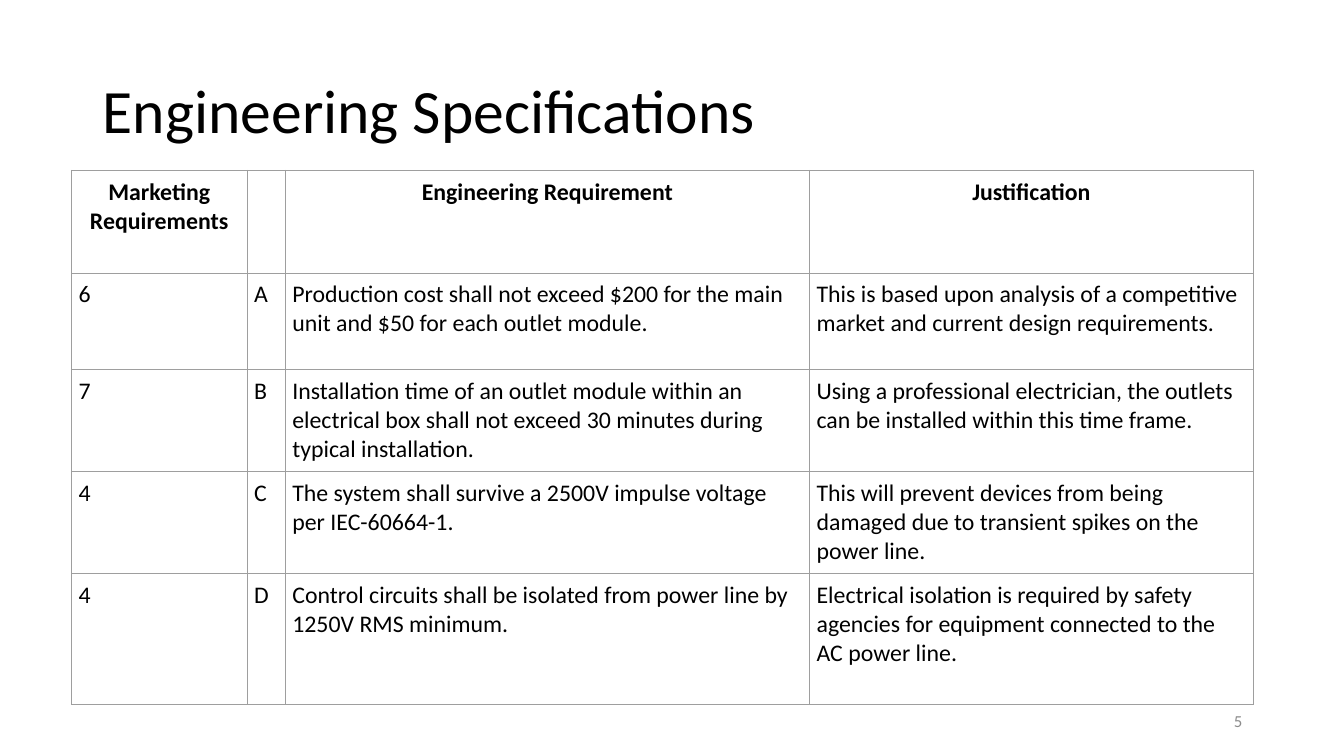
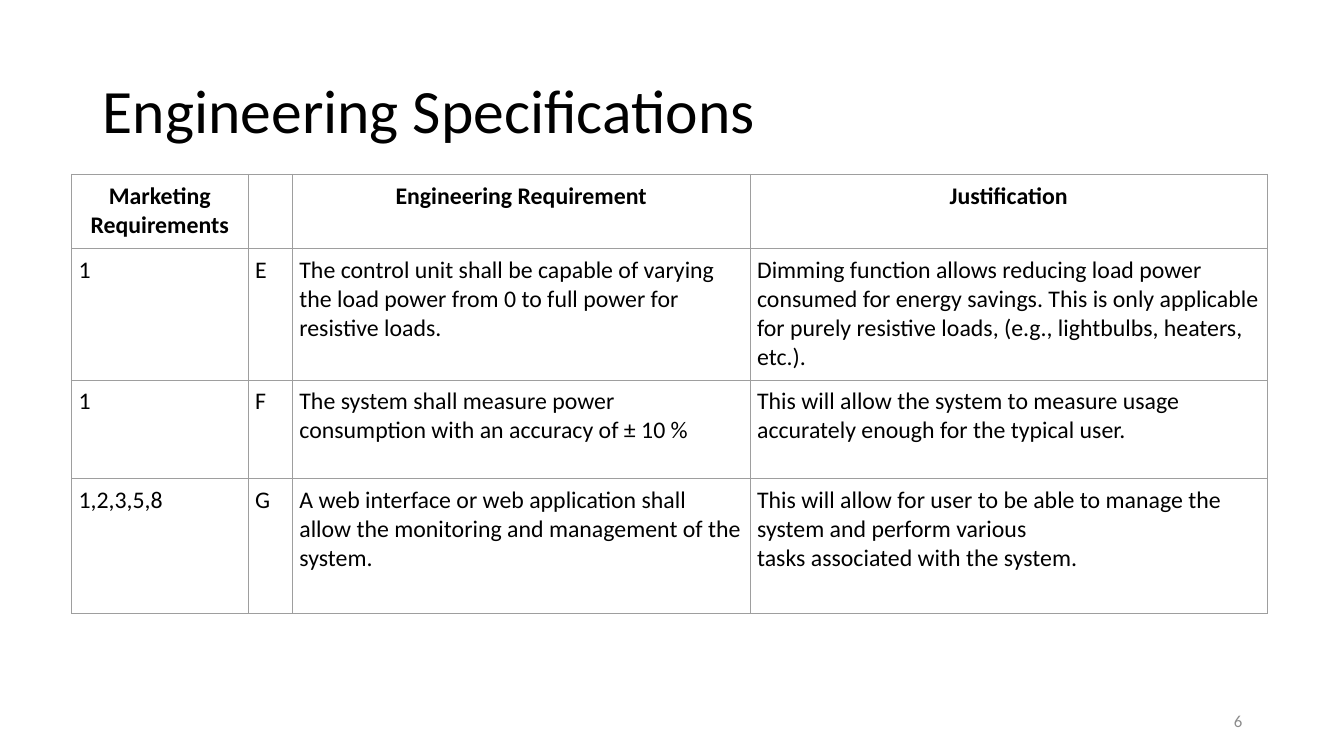
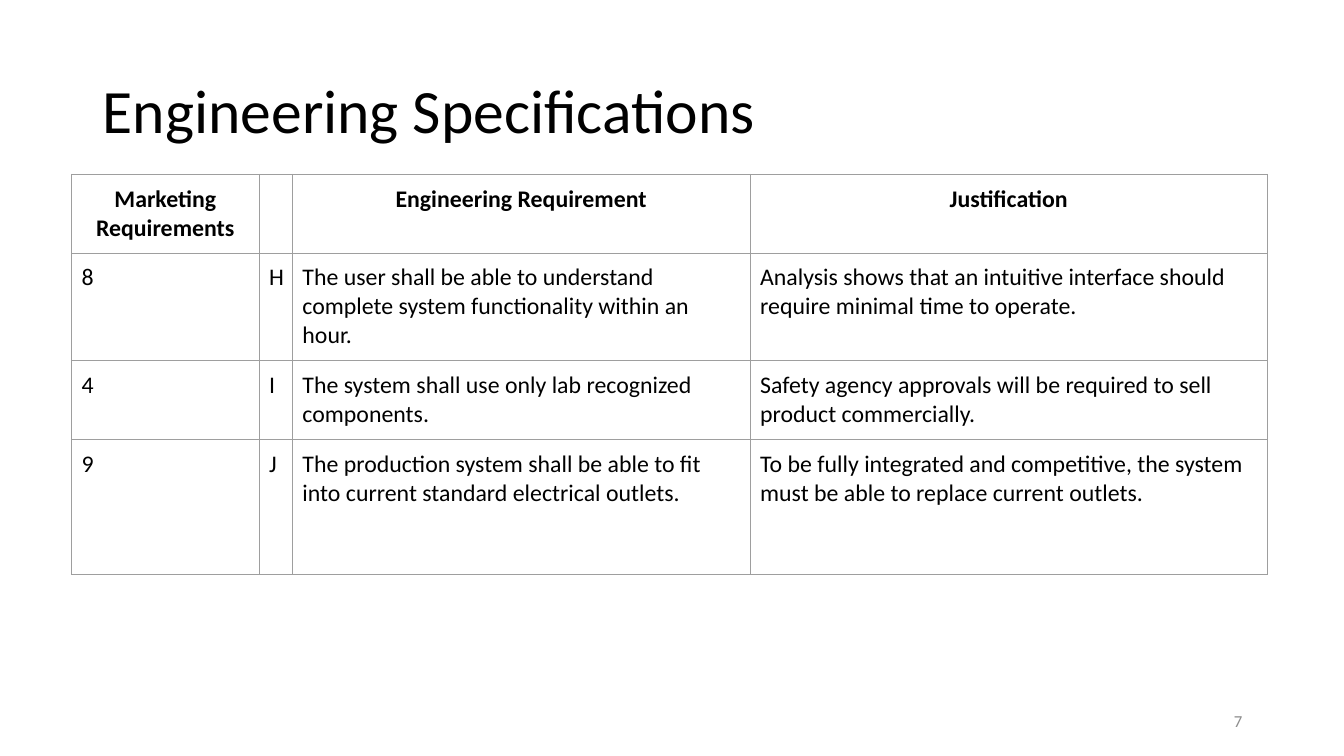
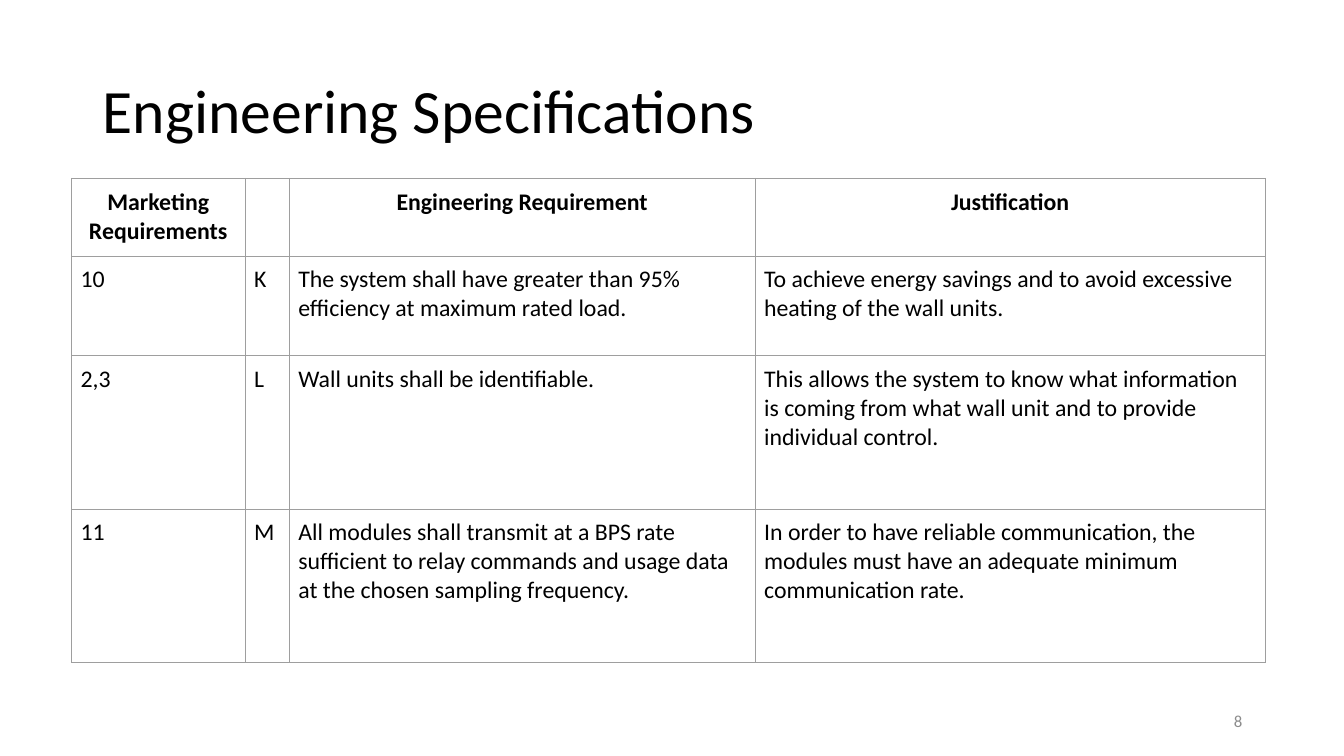
from dataclasses import dataclass

import lxml.etree
import pptx
import pptx.dml.color
import pptx.enum.text
import pptx.oxml.ns
import pptx.util

EMU_PER_PX = 9144  # 100 px to the inch
ALIGN = pptx.enum.text.PP_ALIGN
MIDDLE = pptx.enum.text.MSO_ANCHOR.MIDDLE


def px(length):
    return pptx.util.Emu(length * EMU_PER_PX)


@dataclass(frozen=True)
class Theme:
    font: str = "Calibri"
    ink: str = "000000"
    muted: str = "8C8C8C"
    grid: str = "9E9E9E"
    title_size: int = 44
    table_size: int = 17
    number_size: int = 12
    grid_width: float = 0.75


class Deck:
    """The presentation, its style and the current slide."""

    def __init__(self, theme):
        self.theme = theme
        self.prs = pptx.Presentation()
        self.prs.slide_width, self.prs.slide_height = px(1333), px(750)
        self.slide = None

    def add_slide(self, title, number):
        self.slide = self.prs.slides.add_slide(self.prs.slide_layouts[5])
        self.title(title)
        self.page_number(number)

    def style(self, paragraph, size, color, align=ALIGN.LEFT, bold=False):
        paragraph.alignment = align
        font = paragraph.font
        font.name, font.size, font.bold = self.theme.font, pptx.util.Pt(size), bold
        font.color.rgb = pptx.dml.color.RGBColor.from_string(color)

    def title(self, text):
        heading = self.slide.shapes.title
        heading.left, heading.top, heading.width, heading.height = map(px, (92, 40, 1150, 145))
        frame = heading.text_frame
        frame.text = text
        frame.vertical_anchor = MIDDLE
        frame.paragraphs[0].line_spacing = 0.9
        self.style(frame.paragraphs[0], self.theme.title_size, self.theme.ink)

    def page_number(self, number):
        frame = self.slide.shapes.add_textbox(*map(px, (942, 695, 300, 40))).text_frame
        frame.word_wrap = True
        frame.vertical_anchor = MIDDLE
        frame.text = str(number)
        self.style(frame.paragraphs[0], self.theme.number_size, self.theme.muted, ALIGN.RIGHT)

    def table(self, left, top, widths, heights, inset, rows):
        grid = self.slide.shapes.add_table(
            len(rows), len(widths), px(left), px(top), px(sum(widths)), px(sum(heights))
        ).table
        grid.first_row = grid.horz_banding = False
        for column, width in zip(grid.columns, widths):
            column.width = px(width)
        for row, height in zip(grid.rows, heights):
            row.height = px(height)
        for r, texts in enumerate(rows):
            for c, text in enumerate(texts):
                self.cell(grid.cell(r, c), text, inset, is_header=r == 0)

    def cell(self, cell, text, inset, is_header):
        cell.margin_left = cell.margin_right = px(inset)
        cell.margin_top = cell.margin_bottom = px(inset)
        cell.text = text
        for paragraph in cell.text_frame.paragraphs:
            self.style(paragraph, self.theme.table_size, self.theme.ink,
                       ALIGN.CENTER if is_header else ALIGN.LEFT, is_header)
        self.borders(cell)
        cell.fill.background()

    def borders(self, cell):
        qn = pptx.oxml.ns.qn
        properties = cell._tc.get_or_add_tcPr()
        width = str(int(pptx.util.Pt(self.theme.grid_width)))
        for side in ("a:lnL", "a:lnR", "a:lnT", "a:lnB"):
            line = lxml.etree.SubElement(properties, qn(side), w=width)
            fill = lxml.etree.SubElement(line, qn("a:solidFill"))
            lxml.etree.SubElement(fill, qn("a:srgbClr"), val=self.theme.grid)


# Content shared by all slides
TITLE = "Engineering Specifications"
HEADER = ("Marketing Requirements", "", "Engineering Requirement", "Justification")
TABLE_LEFT = 71
FIRST_NUMBER = 5

# One entry per slide: table top, column widths, row heights, cell inset, requirements
SPECIFICATIONS = [
    (169, (174, 38, 520, 440), (102, 96, 101, 101, 130), 7, [
        ("6", "A",
         "Production cost shall not exceed $200 for the main unit and $50 for each outlet module.",
         "This is based upon analysis of a competitive market and current design requirements."),
        ("7", "B",
         "Installation time of an outlet module within an electrical box shall not exceed "
         "30 minutes during typical installation.",
         "Using a professional electrician, the outlets can be installed within this time frame."),
        ("4", "C",
         "The system shall survive a 2500V impulse voltage per IEC-60664-1.",
         "This will prevent devices from being damaged due to transient spikes on the power line."),
        ("4", "D",
         "Control circuits shall be isolated from power line by 1250V RMS minimum.",
         "Electrical isolation is required by safety agencies for equipment connected to "
         "the AC power line."),
    ]),
    (173, (175, 44, 454, 513), (74, 130, 98, 134), 7, [
        ("1", "E",
         "The control unit shall be capable of varying the load power from 0 to full power "
         "for resistive loads.",
         "Dimming function allows reducing load power consumed for energy savings. This is only "
         "applicable for purely resistive loads, (e.g., lightbulbs, heaters, etc.)."),
        ("1", "F",
         "The system shall measure power consumption with an accuracy of ± 10 %",
         "This will allow the system to measure usage accurately enough for the typical user."),
        ("1,2,3,5,8", "G",
         "A web interface or web application shall allow the monitoring and management "
         "of the system.",
         "This will allow for user to be able to manage the system and perform various\n"
         "tasks associated with the system."),
    ]),
    (173, (186, 33, 454, 513), (78, 107, 78, 134), 10, [
        ("8", "H",
         "The user shall be able to understand complete system functionality within an hour.",
         "Analysis shows that an intuitive interface should require minimal time to operate."),
        ("4", "I",
         "The system shall use only lab recognized components.",
         "Safety agency approvals will be required to sell product commercially."),
        ("9", "J",
         "The production system shall be able to fit into current standard electrical outlets.",
         "To be fully integrated and competitive, the system must be able to replace "
         "current outlets."),
    ]),
    (177, (172, 44, 462, 506), (77, 99, 152, 152), 9, [
        ("10", "K",
         "The system shall have greater than 95% efficiency at maximum rated load.",
         "To achieve energy savings and to avoid excessive heating of the wall units."),
        ("2,3", "L",
         "Wall units shall be identifiable.",
         "This allows the system to know what information is coming from what wall unit "
         "and to provide individual control."),
        ("11", "M",
         "All modules shall transmit at a BPS rate sufficient to relay commands and usage data "
         "at the chosen sampling frequency.",
         "In order to have reliable communication, the modules must have an adequate minimum "
         "communication rate."),
    ]),
]


def main():
    deck = Deck(Theme())
    for number, (top, widths, heights, inset, requirements) in enumerate(
            SPECIFICATIONS, start=FIRST_NUMBER):
        deck.add_slide(TITLE, number)
        deck.table(TABLE_LEFT, top, widths, heights, inset, [HEADER, *requirements])
    deck.prs.save("out.pptx")


if __name__ == "__main__":
    main()
